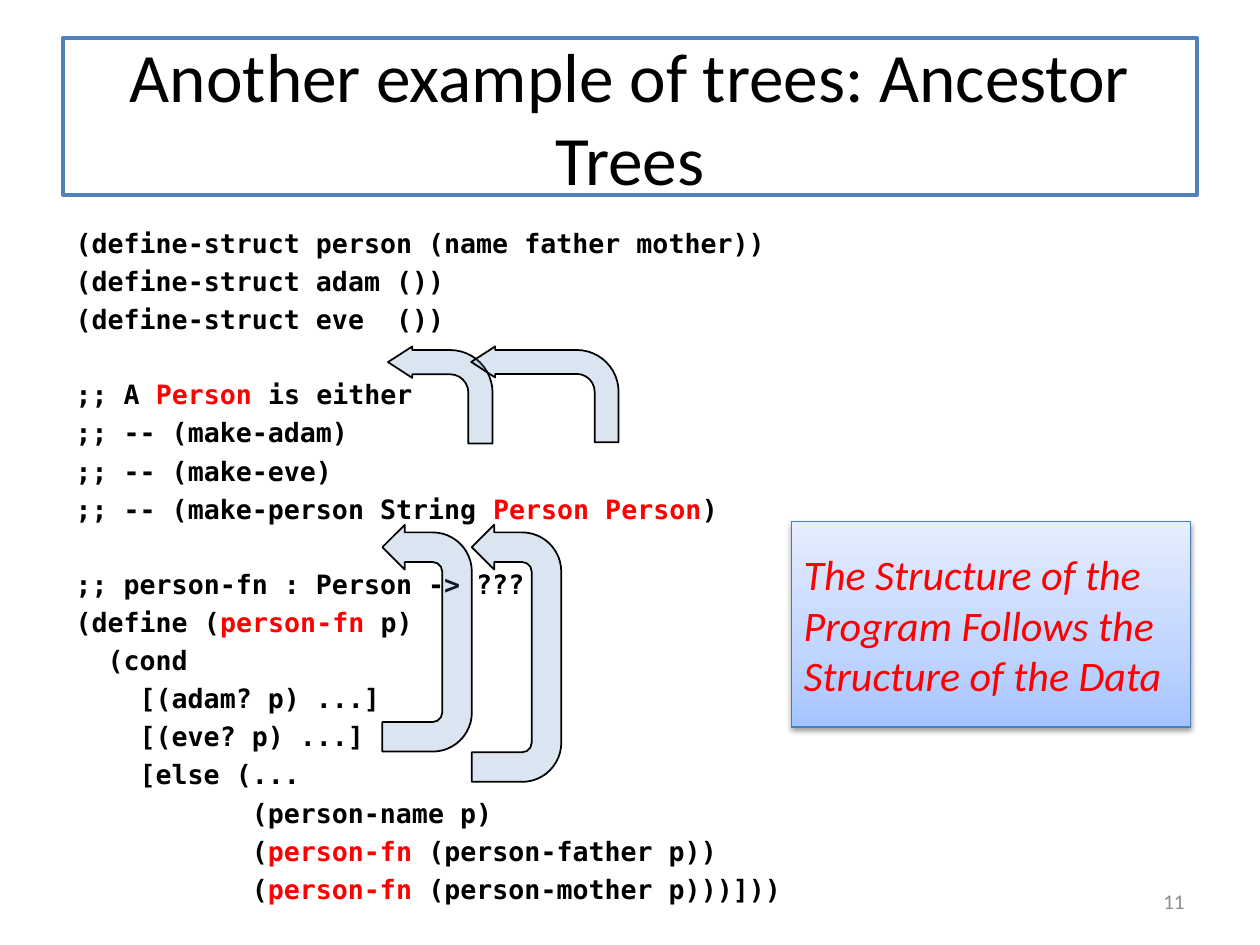
import pptx
import pptx.util
import pptx.oxml
import pptx.oxml.ns
import pptx.dml.color
import pptx.enum.text
import pptx.enum.shapes
import lxml.etree

Inches = pptx.util.Inches
Pt = pptx.util.Pt
ALIGN = pptx.enum.text.PP_ALIGN
ANCHOR = pptx.enum.text.MSO_ANCHOR
SHAPE = pptx.enum.shapes.MSO_SHAPE
qn = pptx.oxml.ns.qn

COLORS = {
    "text": "000000",
    "accent": "FF0000",
    "blue": "4F81BD",
    "white": "FFFFFF",
    "number": "8C8C8C",
    "callout_line": "4B7EBC",
}
CALLOUT_STOPS = [(0, "A4C4FF"), (35, "BFD4FF"), (100, "E6EEFF")]
SANS, MONO = "Calibri", "DejaVu Sans Mono"
CODE_SIZE = 15.2
CHAR_WIDTH = 0.602 * CODE_SIZE
LINE_GAP = 3.54
BLANK_LINE = 21.25

CODE_BLOCKS = [
    [
        (0, "(define-struct person (name father mother))"),
        (0, "(define-struct adam ())"),
        (0, "(define-struct eve  ())"),
    ],
    [
        (0, ";; A |Person| is either"),
        (0, ";; -- (make-adam)"),
        (0, ";; -- (make-eve)"),
        (0, ";; -- (make-person String |Person Person|)"),
    ],
    [
        (0, ";; person-fn : Person -> ???"),
        (0, "(define (|person-fn| p)"),
        (2, "(cond"),
        (4, "[(adam? p) ...]"),
        (4, "[(eve? p) ...]"),
        (4, "[else (..."),
        (11, "(person-name p)"),
        (11, "(|person-fn| (person-father p))"),
        (11, "(|person-fn| (person-mother p)))]))"),
    ],
]


def rgb(name):
    return pptx.dml.color.RGBColor.from_string(COLORS[name])


def place(sp, box):
    sp.left, sp.top, sp.width, sp.height = (Inches(v) for v in box)


def add_run(p, text, size, font, color, bold=False, italic=False):
    r = p.add_run()
    r.text = text
    r.font.size = Pt(size)
    r.font.name = font
    r.font.bold = bold
    r.font.italic = italic
    r.font.color.rgb = rgb(color)


def setup_frame(sp, anchor):
    tf = sp.text_frame
    tf.auto_size = pptx.enum.text.MSO_AUTO_SIZE.NONE
    tf.word_wrap = True
    tf.vertical_anchor = anchor
    return tf


def set_line(sp, color, width):
    sp.line.color.rgb = rgb(color)
    sp.line.width = Pt(width)


def add_title(s, box):
    sp = s.shapes.title
    place(sp, box)
    sp.fill.solid()
    sp.fill.fore_color.rgb = rgb("white")
    set_line(sp, "blue", 2.25)
    p = setup_frame(sp, ANCHOR.MIDDLE).paragraphs[0]
    p.alignment = ALIGN.CENTER
    add_run(p, "Another example of trees: Ancestor Trees", 39.6, SANS, "text")


def add_code(s, box):
    sp = s.placeholders[1]
    place(sp, box)
    tf = setup_frame(sp, ANCHOR.TOP)
    p = tf.paragraphs[0]
    for b, block in enumerate(CODE_BLOCKS):
        for i, (depth, line) in enumerate(block):
            if b or i:
                p = tf.add_paragraph()
            p.space_before = Pt(LINE_GAP + (BLANK_LINE if b and not i else 0))
            pPr = p._p.get_or_add_pPr()
            pPr.set("marL", str(Pt(depth * CHAR_WIDTH)))
            pPr.set("indent", "0")
            lxml.etree.SubElement(pPr, qn("a:buNone"))
            for n, part in enumerate(line.split("|")):
                add_run(p, part, CODE_SIZE, MONO, "accent" if n % 2 else "text", bold=True)


def add_page_number(s, box):
    sp = s.shapes.add_textbox(*(Inches(v) for v in box))
    p = setup_frame(sp, ANCHOR.MIDDLE).paragraphs[0]
    p.alignment = ALIGN.RIGHT
    add_run(p, "11", 12, SANS, "number")


def add_arrow(s, kind, box, adjustments, rotation=0):
    sp = s.shapes.add_shape(kind, *(Inches(v) for v in box))
    sp.shadow.inherit = False
    for i, value in enumerate(adjustments):
        sp.adjustments[i] = value
    sp.rotation = rotation
    sp._element.spPr.find(qn("a:xfrm")).set("flipH", "1")
    sp.fill.solid()
    sp.fill.fore_color.rgb = rgb("blue")
    color = sp._element.spPr.find(qn("a:solidFill")).find(qn("a:srgbClr"))
    lxml.etree.SubElement(color, qn("a:alpha"), val="20000")
    set_line(sp, "text", 1)


def add_arrows(s):
    bent = (0.25, 0.162, 0.25, 0.438)
    uturn = (0.331, 0.25, 0.25, 0.438, 1)
    add_arrow(s, SHAPE.BENT_ARROW, (3.08, 2.75, 0.83, 0.77), bent)
    add_arrow(s, SHAPE.BENT_ARROW, (3.74, 2.75, 1.17, 0.76), bent)
    add_arrow(s, SHAPE.U_TURN_ARROW, (2.49, 4.71, 1.8, 0.71), uturn, 90)
    add_arrow(s, SHAPE.U_TURN_ARROW, (3.08, 4.83, 2.04, 0.71), uturn, 90)


def add_callout(s, box):
    sp = s.shapes.add_shape(SHAPE.RECTANGLE, *(Inches(v) for v in box))
    sp.fill.gradient()
    sp.fill.gradient_angle = 90
    spPr = sp._element.spPr
    stops = spPr.find(qn("a:gradFill")).find(qn("a:gsLst"))
    for gs in list(stops):
        stops.remove(gs)
    for pos, color in CALLOUT_STOPS:
        gs = lxml.etree.SubElement(stops, qn("a:gs"), pos=str(pos * 1000))
        lxml.etree.SubElement(gs, qn("a:srgbClr"), val=color)
    set_line(sp, "callout_line", 0.75)
    sp.shadow.inherit = False
    shadow = lxml.etree.SubElement(
        spPr.find(qn("a:effectLst")), qn("a:outerShdw"),
        blurRad=str(Pt(3.1)), dist=str(Pt(1.6)), dir="5400000", rotWithShape="0")
    color = lxml.etree.SubElement(shadow, qn("a:srgbClr"), val=COLORS["text"])
    lxml.etree.SubElement(color, qn("a:alpha"), val="38000")
    p = setup_frame(sp, ANCHOR.MIDDLE).paragraphs[0]
    p.alignment = ALIGN.LEFT
    add_run(p, "The Structure of the Program Follows the Structure of the Data",
            24, SANS, "accent", italic=True)


def main():
    prs = pptx.Presentation()
    prs.slide_width, prs.slide_height = Inches(10), Inches(7.5)
    s = prs.slides.add_slide(prs.slide_layouts[1])
    add_title(s, (0.5, 0.3, 9, 1.25))
    add_code(s, (0.5, 1.75, 9, 4.95))
    add_page_number(s, (7.17, 6.95, 2.33, 0.4))
    add_arrows(s)
    add_callout(s, (6.28, 4.14, 3.17, 1.63))
    prs.save("out.pptx")


if __name__ == "__main__":
    main()
